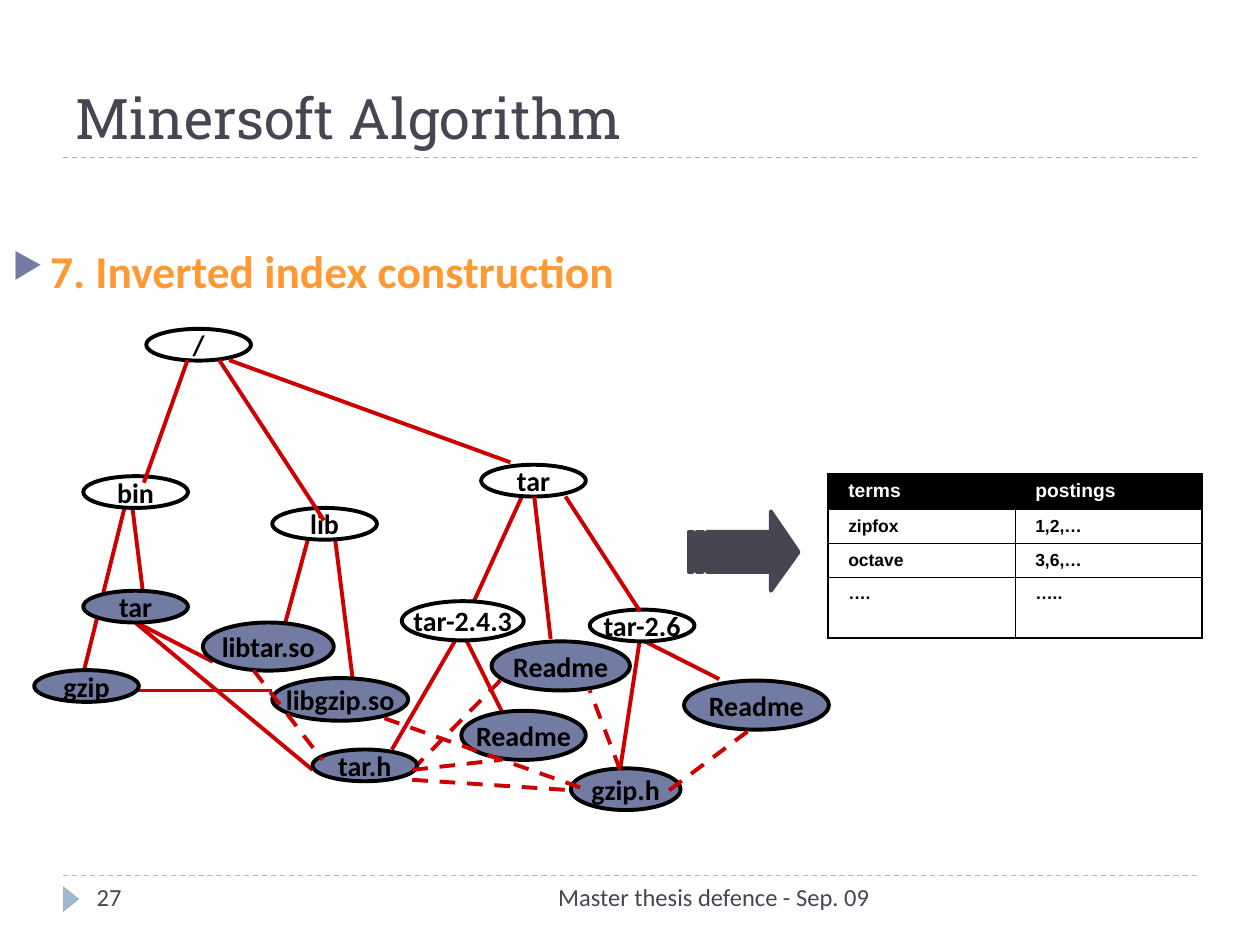
from dataclasses import dataclass
from typing import NamedTuple

import lxml.etree
import pptx
import pptx.dml.color
import pptx.enum.dml
import pptx.enum.shapes
import pptx.enum.text
import pptx.oxml
import pptx.oxml.ns
import pptx.util

Cm = pptx.util.Cm
Pt = pptx.util.Pt
Shapes = pptx.enum.shapes.MSO_SHAPE
Align = pptx.enum.text.PP_ALIGN
Anchor = pptx.enum.text.MSO_ANCHOR


@dataclass(frozen=True)
class Theme:
    ink: str = "464653"
    accent: str = "727CA3"
    pale: str = "9FB8CD"
    orange: str = "FF9933"
    red: str = "CC0000"
    black: str = "000000"
    white: str = "FFFFFF"
    title_font: str = "Roboto Slab"
    body_font: str = "Calibri"
    table_font: str = "Arial"
    title_size: float = 32
    heading_size: float = 26
    node_size: float = 16
    footer_size: float = 14
    header_size: float = 11
    cell_size: float = 10
    stroke: float = 2.25
    rule: float = 0.75
    outer_border: float = 1.08
    inner_border: float = 0.45


class Node(NamedTuple):
    label: str
    left: float
    top: float
    width: float = 2.11
    height: float = 0.64
    is_file: bool = True


class Edge(NamedTuple):
    x1: float
    y1: float
    x2: float
    y2: float
    dashed: bool = False


THEME = Theme()

BACK_EDGES = [
    Edge(2.69, 12.52, 6.3, 15.52), Edge(2.51, 10.24, 1.7, 13.49),
    Edge(6.76, 10.9, 7.11, 13.69), Edge(6.2, 10.9, 5.69, 12.78),
    Edge(2.67, 10.24, 2.9, 12.09), Edge(12.9, 12.88, 14.5, 13.69),
    Edge(9.3, 12.7, 7.9, 15.11), Edge(12.9, 12.88, 12.5, 15.52),
    Edge(2.69, 13.92, 5.49, 13.92), Edge(2.69, 12.52, 4.29, 13.34),
    Edge(10.52, 10.01, 9.5, 12.24), Edge(9.3, 12.7, 10.11, 14.33),
    Edge(8.31, 15.52, 10.29, 13.51, True),
]
NODES = [
    Node("tar-2.6", 11.89, 12.29, is_file=False),
    Node("tar", 1.68, 11.91),
    Node("gzip", 0.69, 13.51),
    Node("libgzip.so", 5.49, 13.67, 2.74, 0.86),
    Node("libtar.so", 4.09, 12.55, 2.64, 0.97),
    Node("bin", 1.68, 9.6, is_file=False),
    Node("lib", 5.49, 10.24, is_file=False),
    Node("tar", 9.7, 9.37, is_file=False),
    Node("/", 2.95, 6.63, is_file=False),
    Node("Readme", 13.79, 13.72, 2.92, 0.99),
    Node("tar.h", 6.3, 15.11),
    Node("gzip.h", 11.51, 15.49, 2.21, 0.84),
    Node("Readme", 9.91, 12.93, 2.79, 0.99),
    Node("Readme", 9.3, 14.33, 2.51, 0.99),
    Node("tar-2.4.3", 8.1, 12.12, 2.46, 0.79, False),
]
FRONT_EDGES = [
    Edge(3.78, 7.26, 2.9, 9.73), Edge(10.77, 10.01, 11.1, 12.88),
    Edge(11.4, 10.01, 12.9, 12.32), Edge(4.62, 7.26, 10.29, 9.32),
    Edge(4.42, 7.26, 6.53, 10.49),
    Edge(8.31, 15.52, 10.08, 15.32, True), Edge(12.5, 15.52, 11.89, 13.92, True),
    Edge(13.49, 15.93, 15.09, 14.73, True), Edge(8.31, 15.72, 11.51, 15.93, True),
    Edge(5.11, 13.51, 6.5, 15.32, True), Edge(7.75, 14.48, 11.71, 15.88, True),
]
ARROW = [
    [(15.54, 10.31), (15.54, 10.72), (14.25, 10.72), (14.25, 11.53),
     (15.54, 11.53), (15.54, 11.91), (16.1, 11.13)],
    [(14.05, 10.72), (14.05, 11.53), (14.17, 11.53), (14.17, 10.72)],
    [(13.89, 10.72), (13.89, 11.53), (13.97, 11.53), (13.97, 10.72)],
]
INDEX_ROWS = [("terms", "postings"), ("zipfox", "1,2,…"), ("octave", "3,6,…"), ("….", "…..")]
ROW_HEIGHTS = [0.64, 0.58, 0.58, 1.22]


def rgb(value: str) -> pptx.dml.color.RGBColor:
    return pptx.dml.color.RGBColor.from_string(value)


def style(para, name: str, size: float, color: str, bold: bool = False) -> None:
    para.font.name = name
    para.font.size = Pt(size)
    para.font.color.rgb = rgb(color)
    para.font.bold = bold


def paint(shape, fill: str, line: str | None = None) -> None:
    shape.shadow.inherit = False
    shape.fill.solid()
    shape.fill.fore_color.rgb = rgb(fill)
    if line is None:
        shape.line.fill.background()
    else:
        shape.line.color.rgb = rgb(line)
        shape.line.width = Pt(THEME.stroke)


def add_line(slide, edge: Edge, color: str, width: float) -> None:
    line = slide.shapes.add_connector(
        pptx.enum.shapes.MSO_CONNECTOR.STRAIGHT,
        Cm(edge.x1), Cm(edge.y1), Cm(edge.x2), Cm(edge.y2))
    line.line.color.rgb = rgb(color)
    line.line.width = Pt(width)
    if edge.dashed:
        line.line.dash_style = pptx.enum.dml.MSO_LINE.DASH
    lxml.etree.SubElement(line._element.spPr, pptx.oxml.ns.qn("a:effectLst"))


def add_text(slide, text: str, left: float, top: float, width: float, height: float):
    box = slide.shapes.add_textbox(Cm(left), Cm(top), Cm(width), Cm(height))
    box.text_frame.word_wrap = True
    box.text_frame.text = text
    return box.text_frame


def add_node(slide, node: Node) -> None:
    oval = slide.shapes.add_shape(
        Shapes.OVAL, Cm(node.left), Cm(node.top), Cm(node.width), Cm(node.height))
    paint(oval, THEME.accent if node.is_file else THEME.white, THEME.black)
    frame = oval.text_frame
    frame.word_wrap = False
    frame.vertical_anchor = Anchor.MIDDLE
    frame.text = node.label
    para = frame.paragraphs[0]
    para.alignment = Align.CENTER
    style(para, THEME.body_font, THEME.node_size, THEME.black, True)


def add_bullet(para) -> None:
    props = para._p.get_or_add_pPr()
    props.set("marL", str(Cm(0.76)))
    props.set("indent", str(-Cm(0.76)))
    color = lxml.etree.SubElement(props, pptx.oxml.ns.qn("a:buClr"))
    lxml.etree.SubElement(color, pptx.oxml.ns.qn("a:srgbClr"), val=THEME.accent)
    lxml.etree.SubElement(props, pptx.oxml.ns.qn("a:buSzPct"), val="76000")
    lxml.etree.SubElement(props, pptx.oxml.ns.qn("a:buChar"), char="▶")


def add_borders(cell, outer_sides: set[str]) -> None:
    props = cell._tc.get_or_add_tcPr()
    for position, side in enumerate(("lnL", "lnR", "lnT", "lnB")):
        width = THEME.outer_border if side in outer_sides else THEME.inner_border
        props.insert(position, pptx.oxml.parse_xml(
            f'<a:{side} {pptx.oxml.ns.nsdecls("a")} w="{Pt(width)}"><a:solidFill>'
            f'<a:srgbClr val="{THEME.black}"/></a:solidFill></a:{side}>'))


def add_index_table(slide) -> None:
    table = slide.shapes.add_table(
        len(INDEX_ROWS), 2, Cm(16.69), Cm(9.55), Cm(7.54), Cm(sum(ROW_HEIGHTS))).table
    table.first_row = table.horz_banding = False
    for r, (texts, height) in enumerate(zip(INDEX_ROWS, ROW_HEIGHTS)):
        table.rows[r].height = Cm(height)
        for c, text in enumerate(texts):
            cell = table.cell(r, c)
            cell.margin_left = cell.margin_right = Cm(0.41)
            cell.margin_top = cell.margin_bottom = Cm(0.13)
            cell.text = text
            cell.fill.solid()
            cell.fill.fore_color.rgb = rgb(THEME.white if r else THEME.black)
            para = cell.text_frame.paragraphs[0]
            para.alignment = Align.JUSTIFY
            style(para, THEME.table_font, THEME.cell_size if r else THEME.header_size,
                  THEME.black if r else THEME.white, True)
            outer = {"lnR" if c else "lnL"}
            outer |= {"lnT"} if r == 0 else set()
            outer |= {"lnB"} if r == len(INDEX_ROWS) - 1 else set()
            add_borders(cell, outer)


def add_arrow(slide) -> None:
    outlines = [[(Cm(x), Cm(y)) for x, y in outline] for outline in ARROW]
    builder = slide.shapes.build_freeform(*outlines[0][0])
    builder.add_line_segments(outlines[0][1:])
    for outline in outlines[1:]:
        builder.move_to(*outline[0])
        builder.add_line_segments(outline[1:])
    paint(builder.convert_to_shape(), THEME.ink, THEME.ink)


def add_frame(slide) -> None:
    for y in (17.65, 3.18):
        add_line(slide, Edge(1.27, y, 24.13, y, True), THEME.pale, THEME.rule)
    marker = slide.shapes.add_shape(
        Shapes.ISOSCELES_TRIANGLE, Cm(1.17), Cm(17.96), Cm(0.53), Cm(0.33))
    marker.rotation = 90
    paint(marker, THEME.pale)
    title = add_text(slide, "Minersoft Algorithm", 1.27, 0.43, 22.86, 2.74)
    title.vertical_anchor = Anchor.BOTTOM
    style(title.paragraphs[0], THEME.title_font, THEME.title_size, THEME.ink)
    heading = add_text(slide, "7. Inverted index construction", 0, 4.78, 17.2, 12.57)
    add_bullet(heading.paragraphs[0])
    style(heading.paragraphs[0], THEME.body_font, THEME.heading_size, THEME.orange, True)
    number = add_text(slide, "27", 1.7, 17.65, 5.51, 1.02)
    footer = add_text(slide, "Master thesis defence - Sep. 09", 8.05, 17.65, 9.73, 1.02)
    footer.paragraphs[0].alignment = Align.RIGHT
    for frame in (number, footer):
        style(frame.paragraphs[0], THEME.body_font, THEME.footer_size, THEME.ink)


def main() -> None:
    deck = pptx.Presentation()
    deck.slide_width, deck.slide_height = Cm(25.4), Cm(19.05)
    slide = deck.slides.add_slide(deck.slide_layouts[6])
    add_frame(slide)
    add_index_table(slide)
    for edge in BACK_EDGES:
        add_line(slide, edge, THEME.red, THEME.stroke)
    for node in NODES:
        add_node(slide, node)
    for edge in FRONT_EDGES:
        add_line(slide, edge, THEME.red, THEME.stroke)
    add_arrow(slide)
    deck.save("out.pptx")


if __name__ == "__main__":
    main()
